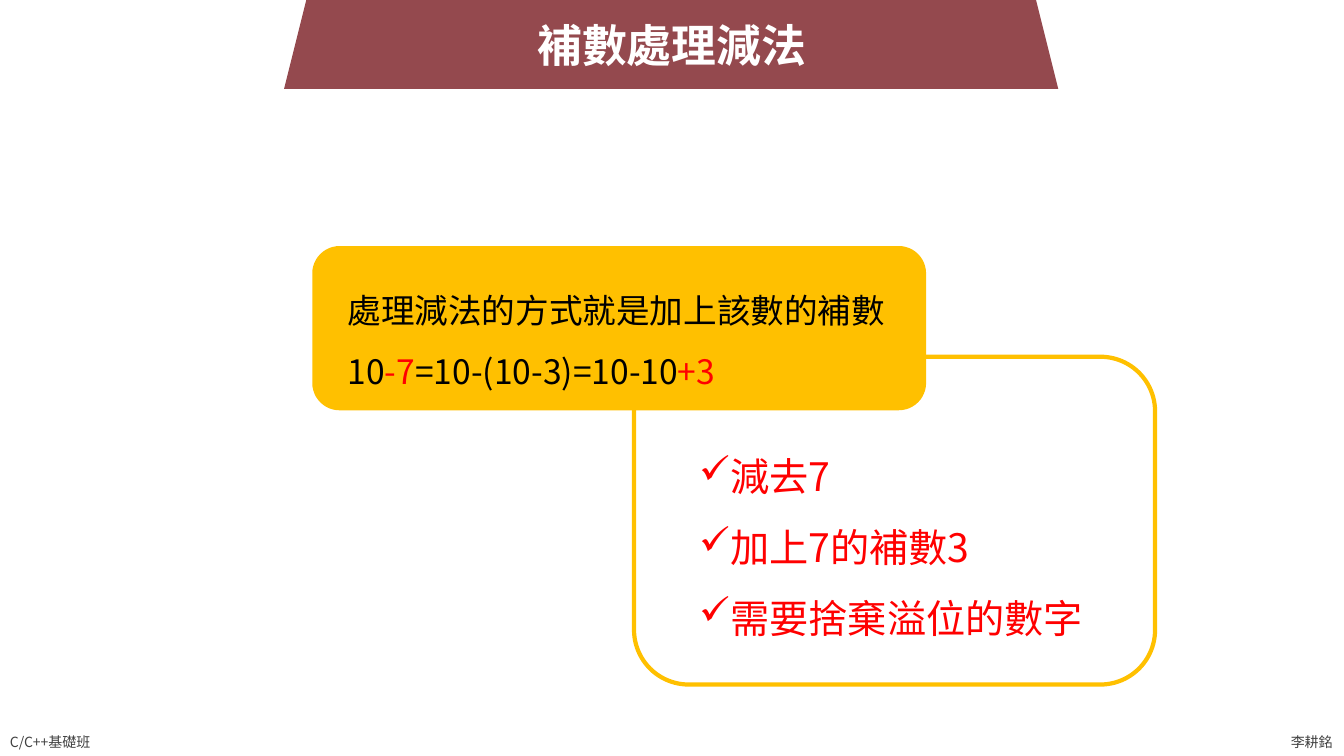
from lxml import etree
from pptx import Presentation
from pptx import util as u
from pptx.dml.color import RGBColor
from pptx.enum import shapes, text
from pptx.oxml import ns

WHITE = RGBColor(0xFF, 0xFF, 0xFF)
BLACK = RGBColor(0, 0, 0)
GREY = RGBColor(0x40, 0x40, 0x40)
RED = RGBColor(0xFF, 0, 0)
AMBER = RGBColor(0xFF, 0xC0, 0)
MAROON = RGBColor(0x94, 0x49, 0x4E)


class SlideBuilder:
    typeface = "Noto Sans CJK TC"
    hanging = u.Cm(0.79)

    def __init__(self, slide):
        self.slide = slide

    def panel(self, preset, box, fill=None, outline=None):
        panel = self.slide.shapes.add_shape(preset, *map(u.Cm, box))
        panel.shadow.inherit = False
        if fill is None:
            panel.fill.background()
        else:
            panel.fill.solid()
            panel.fill.fore_color.rgb = fill
        if outline is None:
            panel.line.fill.background()
        else:
            panel.line.color.rgb = outline
            panel.line.width = u.Pt(3)

    def words(self, box, lines, size, color, bold=False, wrap=False, spacing=None,
              align=None, anchor=text.MSO_ANCHOR.TOP, bullet=None):
        frame = self.slide.shapes.add_textbox(*map(u.Cm, box)).text_frame
        frame.word_wrap = wrap
        frame.auto_size = text.MSO_AUTO_SIZE.SHAPE_TO_FIT_TEXT
        frame.vertical_anchor = anchor
        for index, line in enumerate(lines):
            paragraph = frame.add_paragraph() if index else frame.paragraphs[0]
            paragraph.alignment = align
            paragraph.line_spacing = spacing
            self.style(paragraph, size, color, bold)
            if bullet:
                self.mark(paragraph, bullet)
            for wording, accent in line:
                run = paragraph.add_run()
                run.text = wording
                if accent is not None:
                    run.font.color.rgb = accent

    def style(self, paragraph, size, color, bold):
        font = paragraph.font
        font.size = u.Pt(size)
        font.bold = bold
        font.name = self.typeface
        font.color.rgb = color
        defaults = paragraph._p.pPr.find(ns.qn("a:defRPr"))
        latin = defaults.find(ns.qn("a:latin"))
        east_asian = etree.Element(ns.qn("a:ea"), typeface=self.typeface)
        latin.addnext(east_asian)

    def mark(self, paragraph, bullet):
        properties = paragraph._p.pPr
        properties.set("marL", str(self.hanging))
        properties.set("indent", str(-self.hanging))
        defaults = properties.find(ns.qn("a:defRPr"))
        defaults.addprevious(etree.Element(ns.qn("a:buChar"), char=bullet))


def main():
    deck = Presentation()
    deck.slide_width, deck.slide_height = u.Cm(33.87), u.Cm(19.05)
    page = SlideBuilder(deck.slides.add_slide(deck.slide_layouts[6]))
    rounded = shapes.MSO_SHAPE.ROUNDED_RECTANGLE
    middle = text.MSO_ANCHOR.MIDDLE

    page.panel(rounded, (15.98, 8.99, 13.13, 8.26), outline=AMBER)
    page.panel(rounded, (7.87, 6.2, 15.47, 4.14), fill=AMBER)

    page.words((0, 18.36, 2.72, 0.69), [[("C/C++基礎班", None)]], 10, GREY)
    page.words((32.28, 18.36, 1.57, 0.69), [[("李耕銘", None)]], 10, GREY, anchor=middle)

    method = [
        [("處理減法的方式就是加上該數的補數", None)],
        [("10", None), ("-7", RED), ("=10-(10-3)=10-10", None), ("+3", RED)],
    ]
    page.words((8.51, 6.68, 14.2, 3.15), method, 24, BLACK, wrap=True, spacing=1.5)

    steps = [[(step, None)] for step in ("減去7", "加上7的補數3", "需要捨棄溢位的數字")]
    page.words((17.37, 10.69, 11.76, 5.64), steps, 28, RED, wrap=True, spacing=1.5,
               bullet="✓")

    page.panel(shapes.MSO_SHAPE.TRAPEZOID, (7.16, -0.86, 19.51, 3.1), fill=MAROON)
    page.words((13.26, 0.3, 7.34, 1.63), [[("補數處理減法", None)]], 32, WHITE, bold=True,
               align=text.PP_ALIGN.CENTER, anchor=middle)

    deck.save("out.pptx")


if __name__ == "__main__":
    main()
